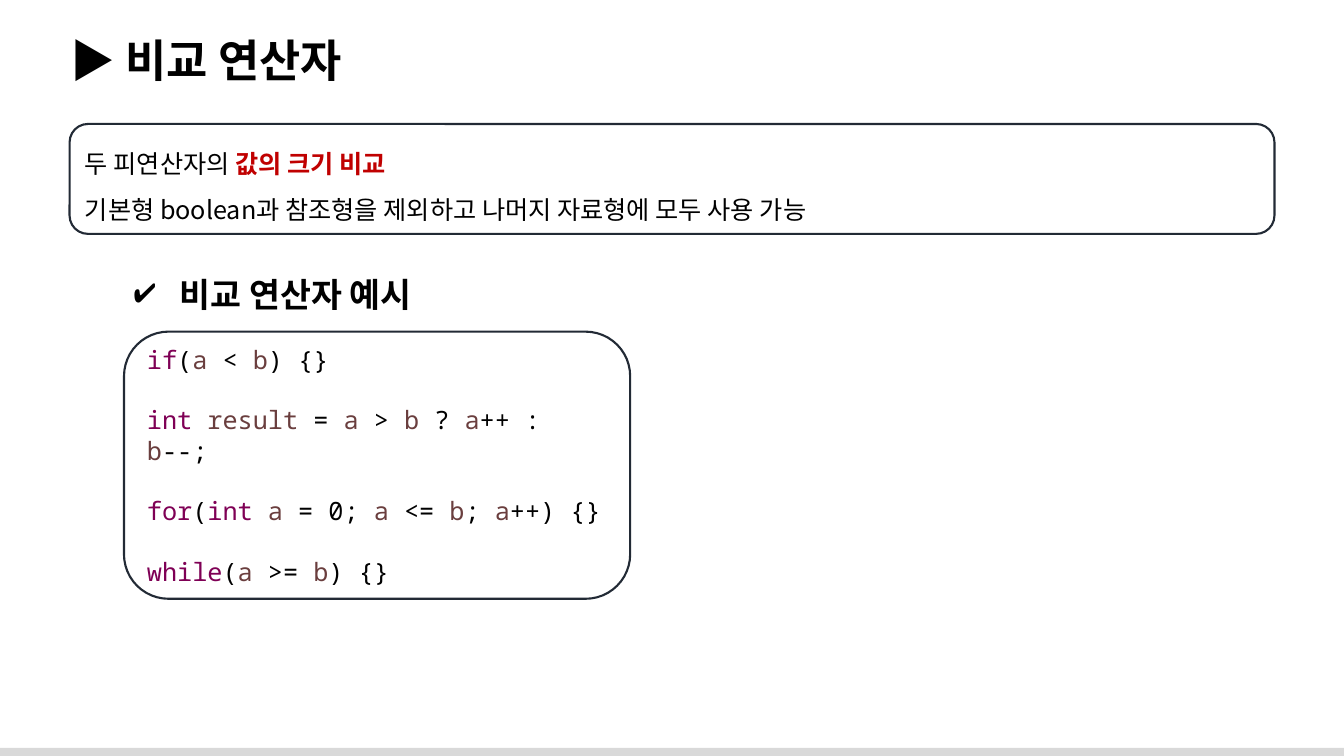
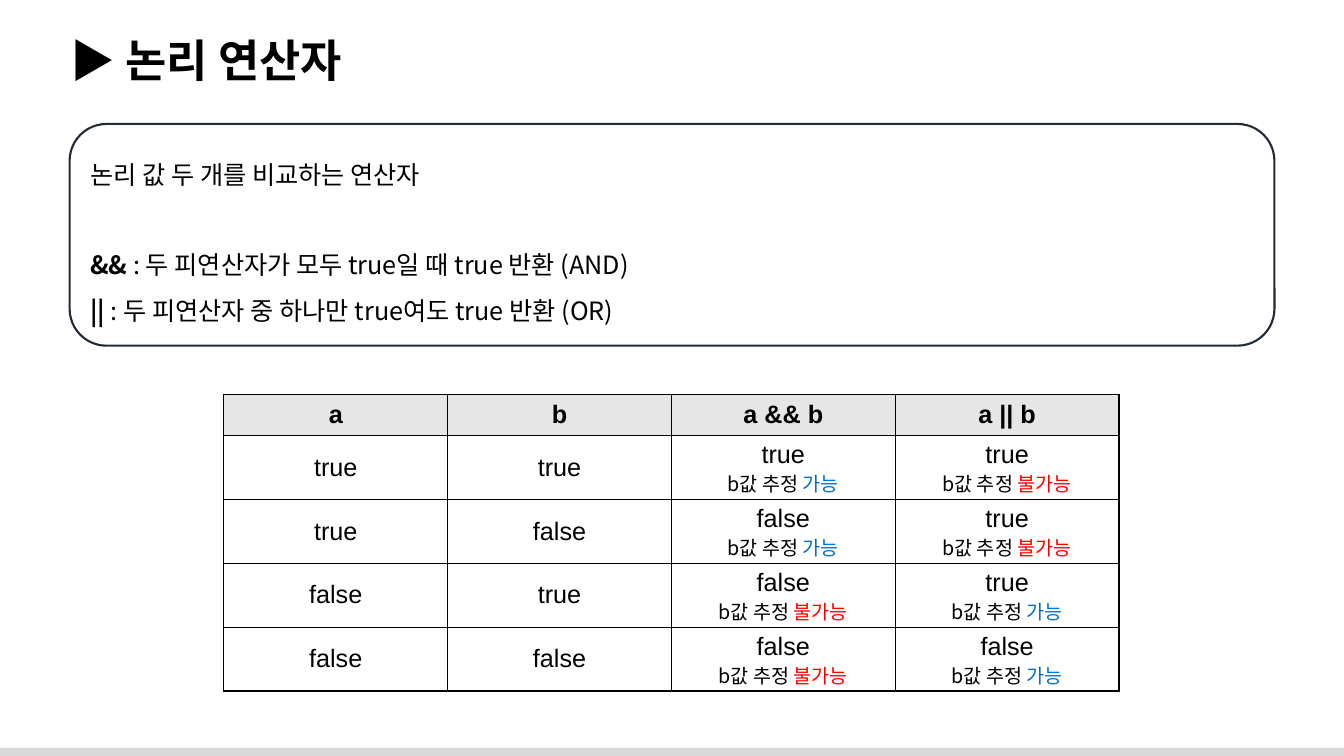
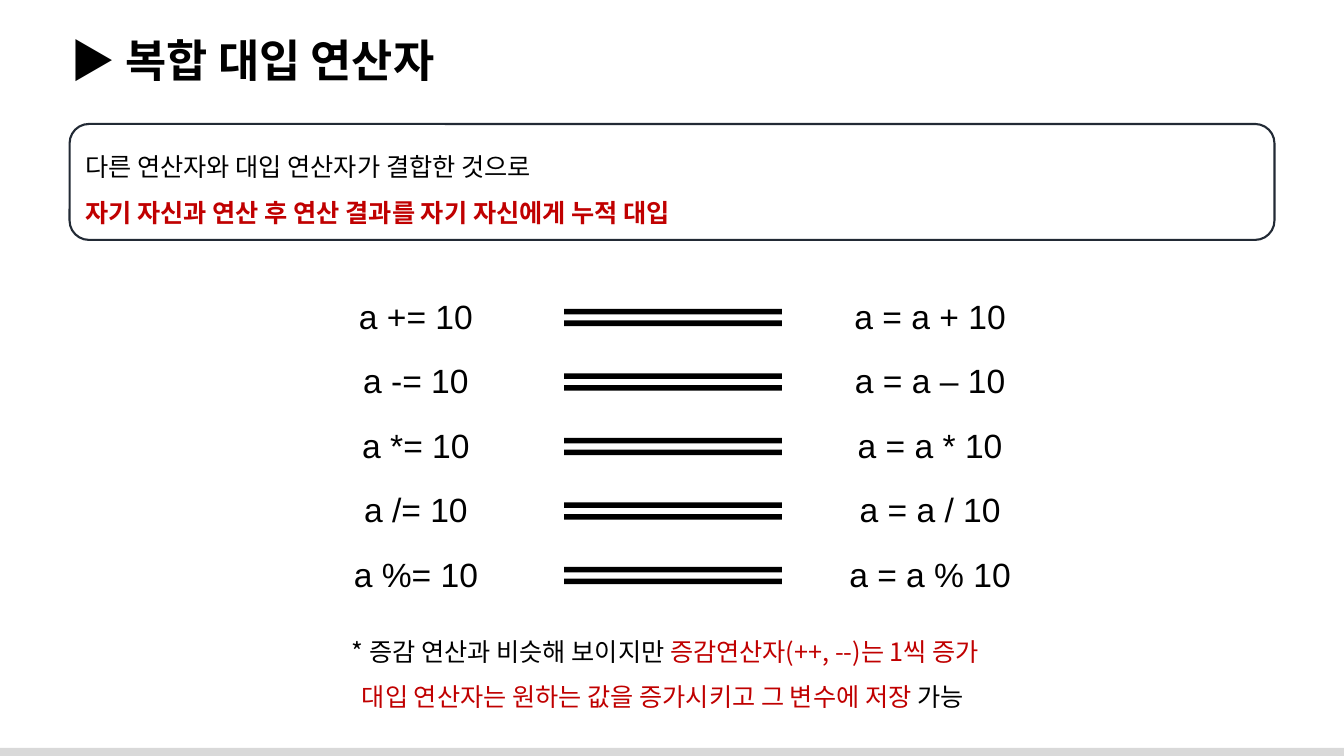
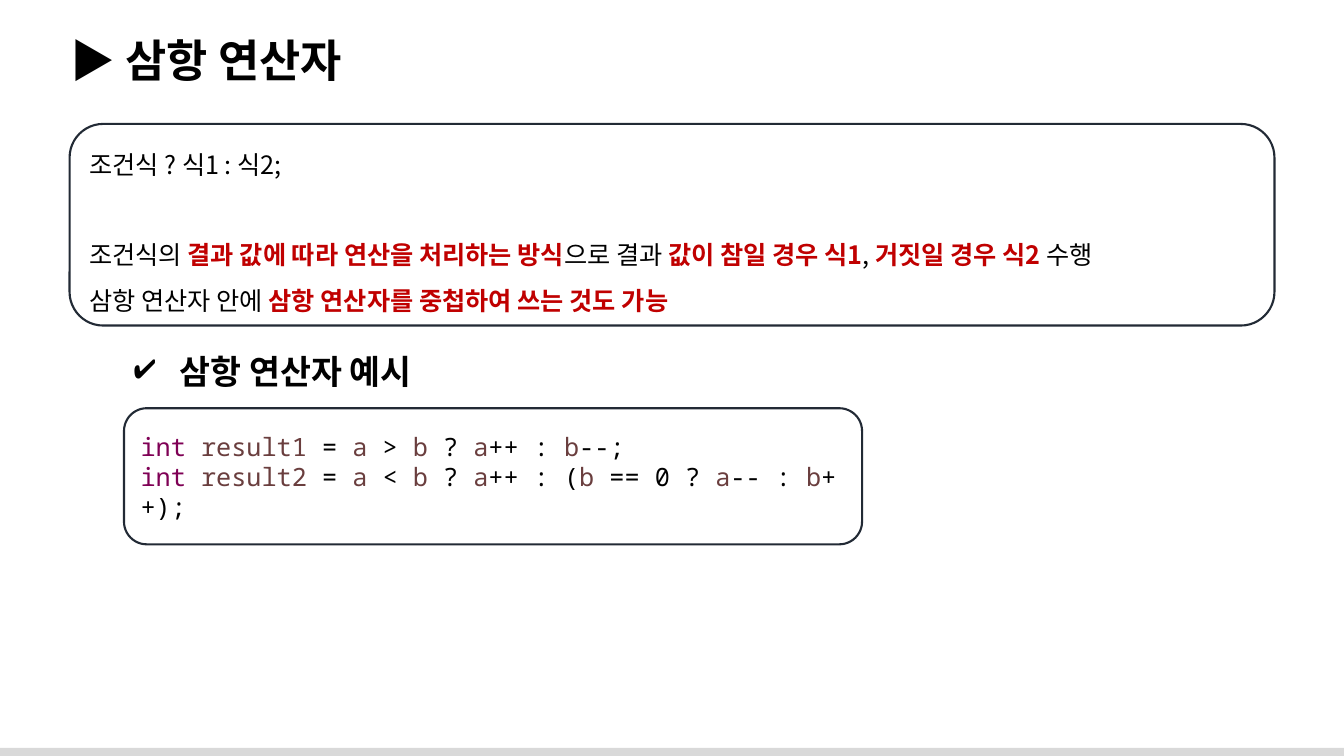
from itertools import groupby

from lxml.etree import SubElement
from pptx import Presentation
from pptx.dml.color import RGBColor
from pptx.enum.shapes import MSO_SHAPE as SHAPE
from pptx.enum.text import MSO_ANCHOR as ANCHOR, PP_ALIGN as ALIGN
from pptx.oxml.ns import qn
from pptx.util import Inches, Pt

COLORS = {
    "text": "000000", "accent": "C00000", "outline": "222A35", "footer": "D9D9D9",
    "header": "E7E6E6", "keyword": "7F0055", "variable": "6A3E3E",
    "possible": "0070C0", "impossible": "FF0000",
}
KOREAN, MONO, LATIN = "Noto Sans CJK KR", "Noto Sans Mono", "Arial"
TITLE = {"name": KOREAN, "size": Pt(32), "bold": True}
HEADING = {"name": KOREAN, "size": Pt(24), "bold": True}
BODY = {"name": KOREAN, "size": Pt(18), "bold": False}
STRONG = {**BODY, "bold": True}
CODE = {"name": MONO, "size": Pt(18), "bold": False}
CELL = {"name": LATIN, "size": Pt(18), "bold": False}
CELL_HEADER = {**CELL, "bold": True}
FORMULA = {**CELL, "size": Pt(24)}
REMARK = {**BODY, "size": Pt(14)}

KEYWORDS = {"if", "int", "for", "while"}
MARK = "^"
OPEN_SPACING = {"line_spacing": 1.5}
SECTION_GAP = {"line_spacing": 1.5, "space_before": Pt(32)}
CODE_GAP = {"space_before": Pt(21.6)}


def color(key):
    return RGBColor.from_string(COLORS[key])


def apply(target, formats):
    for attribute, value in formats.items():
        setattr(target, attribute, value)


def add_run(paragraph, text, formats, color_key="text"):
    run = paragraph.add_run()
    run.text = text
    run.font.color.rgb = color(color_key)
    apply(run.font, formats)
    SubElement(run.font._element, qn("a:ea"), typeface=formats["name"])


def add_marked_text(paragraph, text, strong=STRONG, strong_color="accent"):
    for index, part in enumerate(text.split(MARK)):
        if part and index % 2:
            add_run(paragraph, part, strong, strong_color)
        elif part:
            add_run(paragraph, part, BODY)


def add_code(paragraph, code):
    for is_word, letters in groupby(code, lambda letter: letter.isalnum()):
        word = "".join(letters)
        if word in KEYWORDS:
            key = "keyword"
        else:
            key = "variable" if is_word and not word.isdigit() else "text"
        add_run(paragraph, word, CODE, key)


def add_paragraphs(frame, lines, write):
    for index, (text, formats) in enumerate(lines):
        paragraph = frame.add_paragraph() if index else frame.paragraphs[0]
        apply(paragraph, {"alignment": ALIGN.LEFT, **formats})
        write(paragraph, text)


def add_text_area(slide, box):
    frame = slide.shapes.add_textbox(*map(Inches, box)).text_frame
    frame.word_wrap = True
    return frame


def add_filled(slide, kind, box, color_key):
    shape = slide.shapes.add_shape(kind, *map(Inches, box))
    shape.shadow.inherit = False
    shape.fill.solid()
    shape.fill.fore_color.rgb = color(color_key)
    shape.line.fill.background()
    return shape


def add_panel(slide, box, lines, write):
    panel = slide.shapes.add_shape(SHAPE.ROUNDED_RECTANGLE, *map(Inches, box))
    panel.shadow.inherit = False
    panel.fill.background()
    panel.line.color.rgb = color("outline")
    panel.line.width = Pt(1.5)
    apply(panel.text_frame, {"word_wrap": True, "vertical_anchor": ANCHOR.MIDDLE})
    add_paragraphs(panel.text_frame, lines, write)


def add_summary(slide, height, lines, strong_color="accent"):
    def write(paragraph, text):
        add_marked_text(paragraph, text, strong_color=strong_color)
    add_panel(slide, (0.69, 1.23, 11.95, height), lines, write)


def add_example(slide, box, heading, lines):
    left, top, width, height = box
    paragraph = add_text_area(slide, (left, top, 3.29, 0.5)).paragraphs[0]
    add_run(paragraph, " " + heading, HEADING)
    properties = paragraph._p.get_or_add_pPr()
    properties.set("marL", str(Inches(0.38)))
    properties.set("indent", str(-Inches(0.38)))
    SubElement(properties, qn("a:buChar"), char="✔")
    add_panel(slide, (left, top + 0.62, width, height - 0.62), lines, add_code)


def add_grid(slide, box, row_heights, column_count):
    left, top, width = box
    table = slide.shapes.add_table(
        len(row_heights), column_count,
        *map(Inches, (left, top, width, sum(row_heights)))).table
    apply(table, {"first_row": False, "horz_banding": False})
    for column in table.columns:
        column.width = Inches(width / column_count)
    for row, height in zip(table.rows, row_heights):
        row.height = Inches(height)
    for cell in table.iter_cells():
        cell.vertical_anchor = ANCHOR.MIDDLE
        cell.fill.background()
    return table


def add_cell_text(cell, text, formats):
    paragraph = cell.text_frame.paragraphs[0]
    paragraph.alignment = ALIGN.CENTER
    add_run(paragraph, text, formats)


def add_cell_borders(cell):
    properties = cell._tc.get_or_add_tcPr()
    for index, side in enumerate(("lnL", "lnR", "lnT", "lnB")):
        border = properties.makeelement(qn("a:" + side), {"w": str(Pt(1))})
        fill = SubElement(border, qn("a:solidFill"))
        SubElement(fill, qn("a:srgbClr"), val=COLORS["text"])
        properties.insert(index, border)


def add_truth_table(slide, box):
    headers = ("a", "b", "a && b", "a || b")
    rows = (
        ("true", "true", "true", "true"),
        ("true", "false", "false", "true"),
        ("false", "true", "false", "true"),
        ("false", "false", "false", "false"),
    )
    table = add_grid(slide, box, [0.41] + [0.63] * len(rows), len(headers))
    for cell in table.iter_cells():
        add_cell_borders(cell)
    for column, header in enumerate(headers):
        cell = table.cell(0, column)
        cell.fill.solid()
        cell.fill.fore_color.rgb = color("header")
        add_cell_text(cell, header, CELL_HEADER)
    for row, values in enumerate(rows, 1):
        for column, value in enumerate(values):
            cell = table.cell(row, column)
            add_cell_text(cell, value, CELL)
            if column >= 2:
                guessable = values[0] == ("true" if column == 2 else "false")
                verdict = ("가능", "possible") if guessable else ("불가능", "impossible")
                remark = cell.text_frame.add_paragraph()
                remark.alignment = ALIGN.CENTER
                add_run(remark, "b값 추정 ", REMARK)
                add_run(remark, verdict[0], REMARK, verdict[1])


def add_equivalences(slide, box):
    left, top, width = box
    row_height, sign_width, sign_height = 0.64, 2.94, 0.5
    formulas = (("+", "+"), ("-", "–"), ("*", "*"), ("/", "/"), ("%", "%"))
    table = add_grid(slide, box, [row_height] * len(formulas), 3)
    for row, (compound, operator) in enumerate(formulas):
        add_cell_text(table.cell(row, 0), f"a {compound}= 10", FORMULA)
        add_cell_text(table.cell(row, 2), f"a = a {operator} 10", FORMULA)
        sign = add_filled(slide, SHAPE.MATH_EQUAL, (
            left + (width - sign_width) / 2,
            top + row * row_height + (row_height - sign_height) / 2,
            sign_width, sign_height), "text")
        sign.adjustments[0], sign.adjustments[1] = 0.11, 0.12


def add_note(slide, box):
    lines = (
        ("* 증감 연산과 비슷해 보이지만 ^증감연산자(++, --)는 1씩 증가", OPEN_SPACING),
        ("^대입 연산자는 원하는 값을 증가시키고 그 변수에 저장^ 가능", OPEN_SPACING),
    )
    frame = add_text_area(slide, box)
    add_paragraphs(frame, lines, lambda paragraph, text: add_marked_text(paragraph, text, BODY))
    frame.paragraphs[1]._p.get_or_add_pPr().set("marL", str(Inches(0.1)))


def start_slide(deck, title):
    slide = deck.slides.add_slide(deck.slide_layouts[6])
    add_filled(slide, SHAPE.RECTANGLE, (-0.03, 7.42, 13.39, 0.11), "footer")
    paragraph = add_text_area(slide, (0.6, 0.28, 12.6, 0.64)).paragraphs[0]
    add_run(paragraph, "▶ " + title, TITLE)
    return slide


def build_comparison(deck):
    slide = start_slide(deck, "비교 연산자")
    add_summary(slide, 1.09, (
        ("두 피연산자의 ^값의 크기 비교", OPEN_SPACING),
        ("기본형 boolean과 참조형을 제외하고 나머지 자료형에 모두 사용 가능", OPEN_SPACING),
    ))
    add_example(slide, (1.23, 2.67, 5.02, 3.27), "비교 연산자 예시", (
        ("if(a < b) {}", {}),
        ("int result = a > b ? a++ : b--;", CODE_GAP),
        ("for(int a = 0; a <= b; a++) {}", CODE_GAP),
        ("while(a >= b) {}", CODE_GAP),
    ))


def build_logical(deck):
    slide = start_slide(deck, "논리 연산자")
    add_summary(slide, 2.2, (
        ("논리 값 두 개를 비교하는 연산자", OPEN_SPACING),
        ("^&&^ : 두 피연산자가 모두 true일 때 true 반환 (AND)", SECTION_GAP),
        ("^||^ : 두 피연산자 중 하나만 true여도 true 반환 (OR)", OPEN_SPACING),
    ), "text")
    add_truth_table(slide, (2.22, 3.91, 8.88))


def build_compound(deck):
    slide = start_slide(deck, "복합 대입 연산자")
    add_summary(slide, 1.15, (
        ("다른 연산자와 대입 연산자가 결합한 것으로", OPEN_SPACING),
        ("^자기 자신과 연산 후 연산 결과를 자기 자신에게 누적 대입", OPEN_SPACING),
    ))
    add_equivalences(slide, (2.85, 2.83, 7.65))
    add_note(slide, (3.39, 6.11, 9.61, 1.01))


def build_ternary(deck):
    slide = start_slide(deck, "삼항 연산자")
    add_summary(slide, 2, (
        ("조건식 ? 식1 : 식2;", OPEN_SPACING),
        ("조건식의 ^결과 값에 따라 연산을 처리하는 방식^으로 결과 "
         "^값이 참일 경우 식1^, ^거짓일 경우 식2 ^수행", SECTION_GAP),
        ("삼항 연산자 안에 ^삼항 연산자를 중첩하여 쓰는 것도 가능", OPEN_SPACING),
    ))
    add_example(slide, (1.23, 3.43, 7.32, 1.97), "삼항 연산자 예시", (
        ("int result1 = a > b ? a++ : b--;", {}),
        ("int result2 = a < b ? a++ : (b == 0 ? a-- : b++);", {}),
    ))


def main():
    deck = Presentation()
    apply(deck, {"slide_width": Inches(13.33), "slide_height": Inches(7.5)})
    for build in (build_comparison, build_logical, build_compound, build_ternary):
        build(deck)
    deck.save("out.pptx")


if __name__ == "__main__":
    main()
